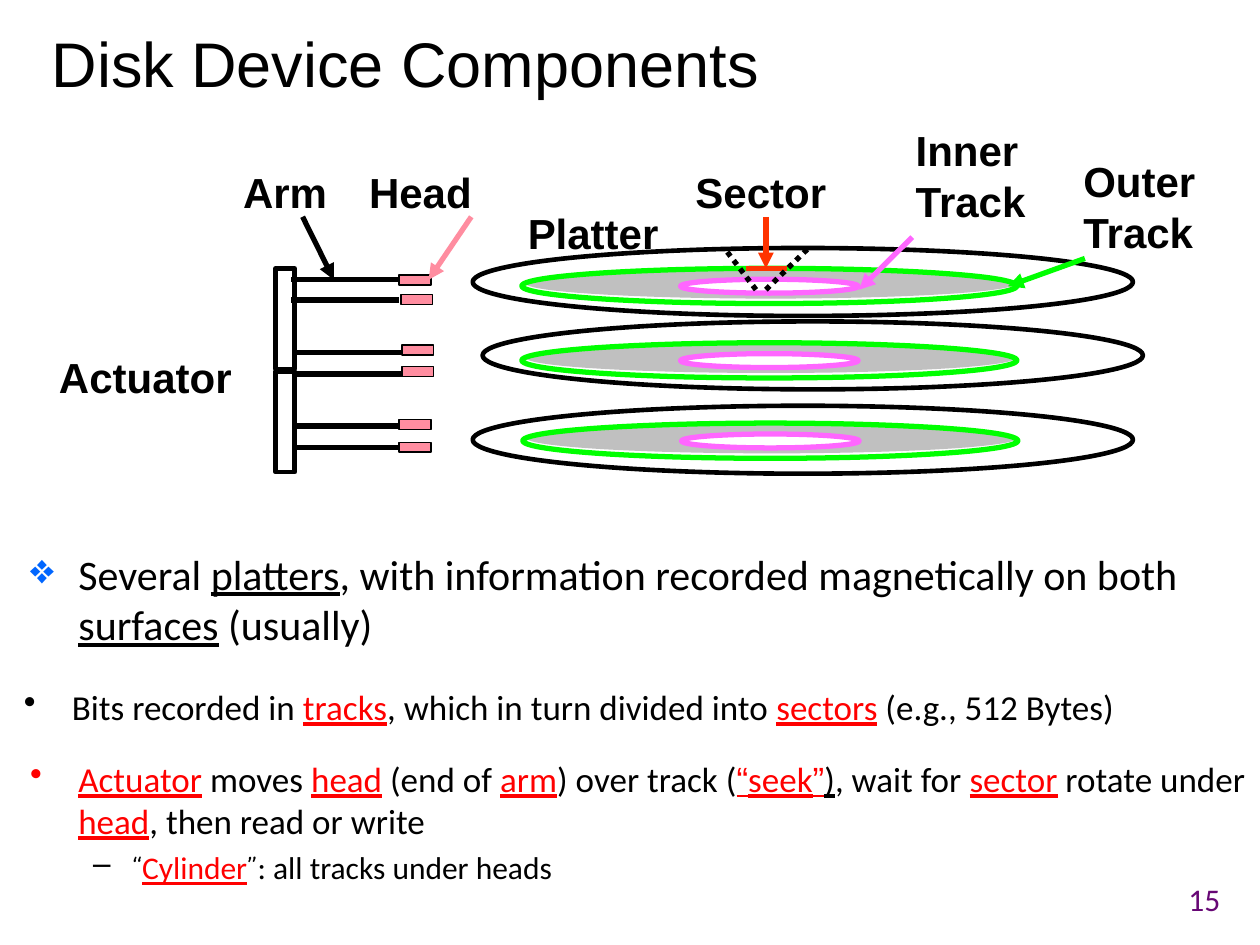
import pptx
import pptx.dml.color
import pptx.enum.dml
import pptx.enum.shapes
import pptx.enum.text
import pptx.oxml
import pptx.oxml.ns
import pptx.util

Cm, Pt = pptx.util.Cm, pptx.util.Pt
Align, Anchor = pptx.enum.text.PP_ALIGN, pptx.enum.text.MSO_ANCHOR
Shape = pptx.enum.shapes.MSO_SHAPE

BLACK, WHITE, GREY = "000000", "FFFFFF", "C0C0C0"
RED, GREEN, PINK, MAGENTA, ORANGE = "FF0000", "00FF00", "FF8DA0", "FF66FF", "FF3300"

# Run styles: colour, underline, font (None keeps the paragraph font)
PLAIN = (BLACK, False, None)
UNDERLINED = (BLACK, True, None)
KEY = (RED, True, None)
KEY_QUOTE = (RED, True, "Arial")
SUB_QUOTE = (BLACK, False, "Comic Neue")


def rgb(hex_colour):
    return pptx.dml.color.RGBColor.from_string(hex_colour)


def add_xml(parent, tag, **attributes):
    element = pptx.oxml.parse_xml(f"<a:{tag} {pptx.oxml.ns.nsdecls('a')}/>")
    for name, value in attributes.items():
        element.set(name, value)
    parent.append(element)
    return element


def add_figure(slide, kind, box, fill=None, line=None, width=3):
    figure = slide.shapes.add_shape(kind, *map(Cm, box))
    figure.shadow.inherit = False
    if fill:
        figure.fill.solid()
        figure.fill.fore_color.rgb = rgb(fill)
    else:
        figure.fill.background()
    if line:
        figure.line.color.rgb = rgb(line)
        figure.line.width = Pt(width)
    else:
        figure.line.fill.background()


def add_line(slide, start, end, colour, arrow=False, dotted=False):
    connector = slide.shapes.add_connector(
        pptx.enum.shapes.MSO_CONNECTOR.STRAIGHT, *map(Cm, start + end))
    connector.line.color.rgb = rgb(colour)
    connector.line.width = Pt(3)
    if dotted:
        connector.line.dash_style = pptx.enum.dml.MSO_LINE.ROUND_DOT
    if arrow:
        add_xml(connector.line._get_or_add_ln(), "tailEnd", type="triangle")
    add_xml(connector._element.spPr, "effectLst")


def add_frame(slide, box, wrap=True):
    frame = slide.shapes.add_textbox(*map(Cm, box)).text_frame
    frame.word_wrap = wrap
    return frame


def set_font(paragraph, name, size, colour, bold=False):
    font = paragraph.font
    font.name, font.size, font.bold = name, Pt(size), bold
    font.color.rgb = rgb(colour)


def add_line_of_text(slide, box, text, font, size, colour, align):
    frame = add_frame(slide, box)
    frame.vertical_anchor = Anchor.MIDDLE
    paragraph = frame.paragraphs[0]
    paragraph.text = text
    paragraph.alignment = align
    paragraph.line_spacing = 0.9
    set_font(paragraph, font, size, colour)


def add_label(slide, box, *lines):
    frame = add_frame(slide, box, wrap=False)
    frame.text = "\n".join(lines)
    for paragraph in frame.paragraphs:
        set_font(paragraph, "Arial", 24, BLACK, bold=True)


def add_bullets(slide, box, items):
    """Each item is (mark, mark colour, left margin, hanging, size, runs)."""
    frame = add_frame(slide, box)
    frame.margin_left = frame.margin_right = Cm(0.18)
    frame.margin_top = frame.margin_bottom = Cm(0.08)
    for index, (mark, mark_colour, margin, hanging, size, runs) in enumerate(items):
        paragraph = frame.add_paragraph() if index else frame.paragraphs[0]
        properties = paragraph._p.get_or_add_pPr()
        properties.set("marL", str(Cm(margin)))
        properties.set("indent", str(-Cm(hanging)))
        add_xml(add_xml(properties, "buClr"), "srgbClr", val=mark_colour)
        add_xml(properties, "buChar", char=mark)
        if index:
            paragraph.space_before = Pt(4)
        paragraph.font.name, paragraph.font.size = "Calibri", Pt(size)
        for text, (colour, underline, font) in runs:
            run = paragraph.add_run()
            run.text = text
            run.font.color.rgb = rgb(colour)
            run.font.underline = underline
            if font:
                run.font.name = font


def draw_platter(slide, left, top, track_left, track_top):
    """One disk; the tracks are offset from the corner of its rim."""
    add_figure(slide, Shape.OVAL, (left, top, 13.31, 1.37), WHITE, BLACK, 2.63)
    x, y = left + track_left, top + track_top
    add_figure(slide, Shape.OVAL, (x + 0.08, y, 9.88, 0.61), GREY)
    add_figure(slide, Shape.OVAL, (x, y, 9.98, 0.71), None, GREEN)
    add_figure(slide, Shape.OVAL, (x + 3.2, y + 0.22, 3.58, 0.28), WHITE, MAGENTA)


def draw_sector(slide, left, top):
    add_line(slide, (left + 0.84, top - 0.63), (left + 0.84, top + 0.41), ORANGE, arrow=True)
    add_line(slide, (left + 0.43, top + 0.41), (left + 1.27, top + 0.41), ORANGE)
    for rim, tip in ((1.7, 0.84), (0, 0.64)):
        add_line(slide, (left + tip, top + 0.84), (left + rim, top), BLACK, dotted=True)


def draw_actuator(slide, left, top):
    """Two stacked posts carrying six arms, each ending in a head."""
    for post in range(2):
        add_figure(slide, Shape.RECTANGLE, (left, top + 2.08 * post, 0.38, 2.03),
                   None, BLACK, 2.63)
    # arm x, arm y, head x, head y
    arms = [(0.31, 0.23, 2.49, 0.13), (0.31, 0.64, 2.52, 0.53),
            (0.36, 1.7, 2.54, 1.55), (0.36, 2.13, 2.54, 1.98),
            (0.41, 3.18, 2.49, 3.05), (0.41, 3.61, 2.49, 3.51)]
    for arm_x, arm_y, head_x, head_y in arms:
        start = (left + arm_x, top + arm_y)
        add_line(slide, start, (start[0] + 2.18, start[1]), BLACK)
        add_figure(slide, Shape.RECTANGLE, (left + head_x, top + head_y, 0.64, 0.2),
                   PINK, BLACK, 1)


def draw_disk(slide, left, top):
    """The labelled drawing, from the box corner at the left of the actuator label."""
    def at(x, y, *size):
        return (left + x, top + y) + size

    add_label(slide, at(9.45, 1.67, 3.15, 1.27), "Platter")
    for x, y, track_x, track_y in ((8.59, 2.61, 0.99, 0.41), (8.79, 4.09, 0.79, 0.43),
                                   (8.59, 5.79, 1.01, 0.35)):
        draw_platter(slide, *at(x, y), track_x, track_y)
    draw_sector(slide, *at(13.66, 2.61))
    draw_actuator(slide, *at(4.62, 3.02))

    add_label(slide, at(0, 4.57, 3.99, 1.27), "Actuator")
    add_label(slide, at(3.71, 0.84, 2.21, 1.27), "Arm")
    add_label(slide, at(6.25, 0.84, 2.59, 1.27), "Head")
    add_label(slide, at(12.83, 0.84, 3.15, 1.27), "Sector")
    add_label(slide, at(17.27, 0, 2.77, 2.29), "Inner", "Track")
    add_label(slide, at(20.65, 0.63, 2.77, 2.29), "Outer", "Track")
    for start, end, colour in (((5.16, 1.98), (5.79, 3.25), BLACK),
                               ((8.56, 1.98), (7.7, 3.25), PINK),
                               ((17.45, 2.39), (16.38, 3.45), MAGENTA),
                               ((20.93, 2.82), (19.38, 3.38), GREEN)):
        add_line(slide, at(*start), at(*end), colour, arrow=True)


def main():
    deck = pptx.Presentation()
    deck.slide_width, deck.slide_height = Cm(25.4), Cm(19.05)
    slide = deck.slides.add_slide(deck.slide_layouts[6])

    add_line_of_text(slide, (0.79, 0.23, 24.05, 2.26), "Disk Device Components",
                     "Arial", 36, BLACK, Align.LEFT)
    draw_disk(slide, 0.94, 2.39)
    add_bullets(slide, (0.43, 10.97, 24.97, 2.16), [
        ("❖", "0066FF", 0.97, 0.97, 24, [
            ("Several ", PLAIN), ("platters", UNDERLINED),
            (", with information recorded magnetically on both ", PLAIN),
            ("surfaces", UNDERLINED), (" (usually)", PLAIN)])])
    add_bullets(slide, (0.3, 13.74, 24.97, 0.99), [
        ("•", BLACK, 0.97, 0.97, 20, [
            ("Bits recorded in ", PLAIN), ("tracks", KEY),
            (", which in turn divided into ", PLAIN), ("sectors", KEY),
            (" (e.g., 512 Bytes)", PLAIN)])])
    add_bullets(slide, (0.43, 15.19, 24.97, 2.74), [
        ("•", RED, 0.97, 0.97, 20, [
            ("Actuator", KEY), (" moves ", PLAIN), ("head", KEY), (" (end of ", PLAIN),
            ("arm", KEY), (") over track (", PLAIN), ("“", KEY_QUOTE), ("seek", KEY),
            ("”", KEY_QUOTE), (")", UNDERLINED), (", wait for ", PLAIN), ("sector", KEY),
            (" rotate under ", PLAIN), ("head", KEY), (", then read or write", PLAIN)]),
        ("–", BLACK, 2.06, 0.79, 18, [
            ("“", SUB_QUOTE), ("Cylinder", KEY), ("”", SUB_QUOTE),
            (": all tracks under heads", PLAIN)])])
    add_line_of_text(slide, (19.13, 17.65, 5.72, 1.02), "15",
                     "Calibri", 18, "670775", Align.RIGHT)
    deck.save("out.pptx")


if __name__ == "__main__":
    main()
